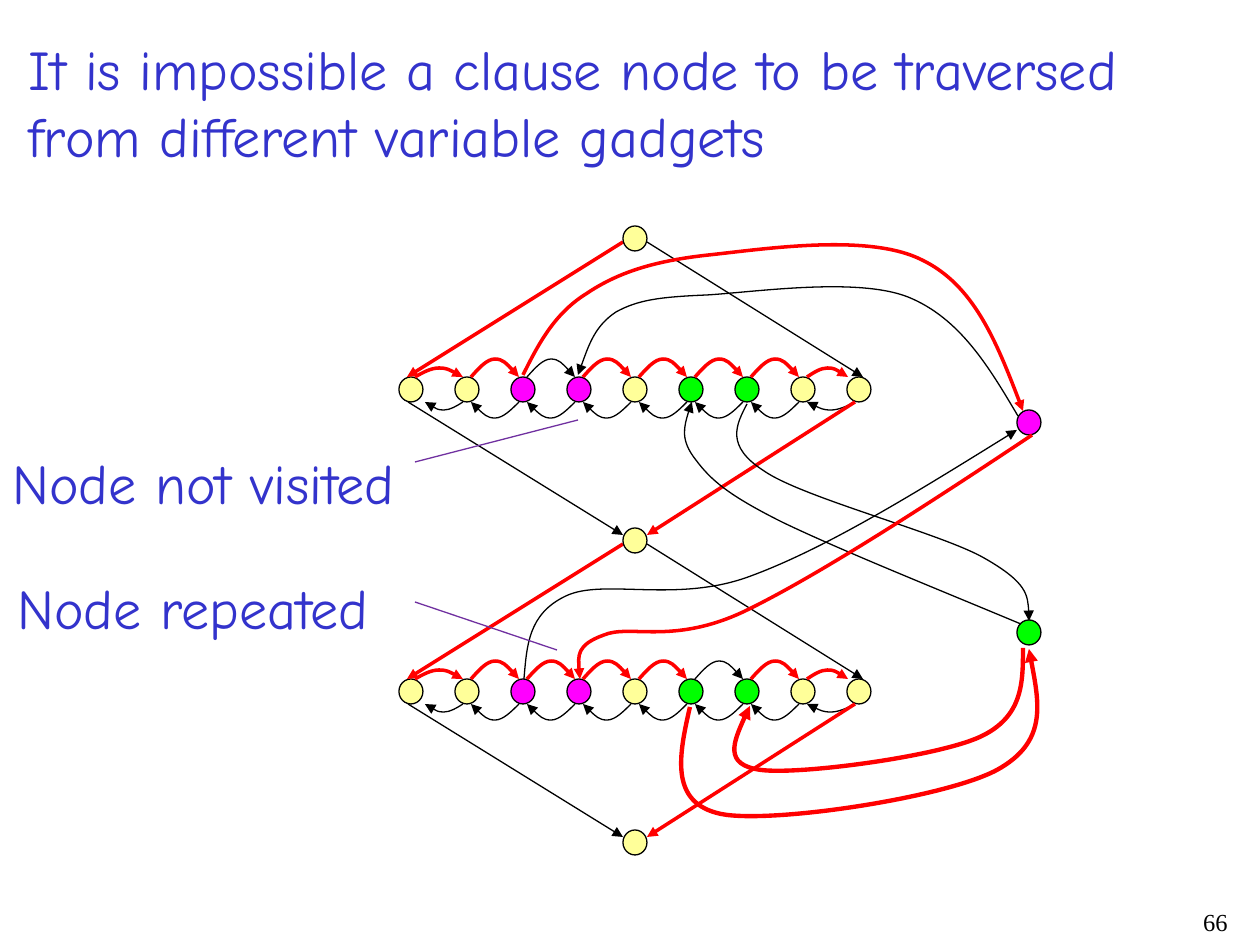
from dataclasses import dataclass

from lxml import etree
from pptx import Presentation
from pptx.dml.color import RGBColor
from pptx.enum.shapes import MSO_CONNECTOR, MSO_SHAPE
from pptx.enum.text import MSO_AUTO_SIZE, PP_ALIGN
from pptx.oxml.ns import qn
from pptx.util import Inches, Pt

STRAIGHT = MSO_CONNECTOR.STRAIGHT
OVAL = MSO_SHAPE.OVAL
LEFT, RIGHT = PP_ALIGN.LEFT, PP_ALIGN.RIGHT
SCALE = Inches(1) / 126


@dataclass(frozen=True)
class Theme:
    ink: str = "000000"
    route: str = "FF0000"
    heading: str = "3333CC"
    pointer: str = "7030A0"
    yellow: str = "FFFF99"
    magenta: str = "FF00FF"
    green: str = "00FF00"
    font: str = "Comic Neue"
    number_font: str = "Times New Roman"
    text_size: int = 32
    number_size: int = 14
    thin: float = 0.75
    thick: float = 2
    heavy: float = 2.5


THEME = Theme()
THIN = (THEME.ink, THEME.thin)
ROUTE = (THEME.route, THEME.thick)
HEAVY_ROUTE = (THEME.route, THEME.heavy)
POINTER = (THEME.pointer, THEME.thin)


def emu(px):
    return round(px * SCALE)


def bezier(points, t):
    """Point at t on the cubic curve with the four given control points."""
    s = 1 - t
    weights = (s**3, 3 * s * s * t, 3 * s * t * t, t**3)
    return tuple(round(sum(w * p[axis] for w, p in zip(weights, points)))
                 for axis in (0, 1))


class SlideBuilder:
    def __init__(self, page, theme):
        self.page = page
        self.theme = theme

    def stroke(self, shape, pen, arrow=False):
        color, width = pen
        shape.line.color.rgb = RGBColor.from_string(color)
        shape.line.width = Pt(width)
        if arrow:
            ln = shape._element.spPr.find(qn("a:ln"))
            etree.SubElement(ln, qn("a:tailEnd"), type="triangle")

    def node(self, x, y, color):
        """Place a graph node by its centre."""
        oval = self.page.shapes.add_shape(
            OVAL, emu(x - 12), emu(y - 12), emu(24), emu(25))
        oval.shadow.inherit = False
        oval.fill.solid()
        oval.fill.fore_color.rgb = RGBColor.from_string(color)
        self.stroke(oval, THIN)

    def line(self, start, end, pen, arrow=True):
        connector = self.page.shapes.add_connector(
            STRAIGHT, *map(emu, (*start, *end)))
        etree.SubElement(connector._element.spPr, qn("a:effectLst"))
        self.stroke(connector, pen, arrow)
        # The effect list follows the line in schema order.
        properties = connector._element.spPr
        properties.append(properties.find(qn("a:effectLst")))

    def curve(self, points, pen):
        """Draw chained cubic curves: a start, then three points per curve."""
        points = [(emu(x), emu(y)) for x, y in points]
        pieces = range(0, len(points) - 1, 3)
        samples = [bezier(points[i:i + 4], step / 24)
                   for i in pieces for step in range(1, 25)]
        builder = self.page.shapes.build_freeform(*points[0])
        builder.add_line_segments(samples, close=False)
        shape = builder.convert_to_shape()
        shape.shadow.inherit = False
        shape.fill.background()
        self.stroke(shape, pen, arrow=True)
        outline = next(shape._element.iter(qn("a:path")))
        for segment in outline.findall(qn("a:lnTo")):
            outline.remove(segment)
        for i in pieces:
            segment = etree.SubElement(outline, qn("a:cubicBezTo"))
            for x, y in points[i + 1:i + 4]:
                etree.SubElement(segment, qn("a:pt"), x=str(x - shape.left),
                                 y=str(y - shape.top))

    def arc(self, start, end, y, rise, pen):
        """Draw a hop between neighbours; a negative rise hangs below."""
        heights = (0, 0.5, 1, 1, 1, 0.5, 0)
        self.curve([(start + (end - start) * i / 6, y - rise * height)
                    for i, height in enumerate(heights)], pen)

    def text(self, lines, x, y, width, height, *, font=None, size=None,
             color=None, align=LEFT, grow=True):
        box = self.page.shapes.add_textbox(*map(emu, (x, y, width, height)))
        frame = box.text_frame
        frame.word_wrap = not grow
        frame.auto_size = MSO_AUTO_SIZE.SHAPE_TO_FIT_TEXT if grow else MSO_AUTO_SIZE.NONE
        for i, line in enumerate(lines):
            para = frame.paragraphs[0] if i == 0 else frame.add_paragraph()
            para.alignment = align
            span = para.add_run()
            span.text = line
            span.font.name = font or self.theme.font
            span.font.size = Pt(size or self.theme.text_size)
            span.font.color.rgb = RGBColor.from_string(color or self.theme.heading)


Y, M, G = THEME.yellow, THEME.magenta, THEME.green
ROW_COLORS = (Y, Y, M, M, Y, G, G, Y, Y)
STEP, HALF_GADGET = 56, 151
COLUMNS = [411 + STEP * i for i in range(len(ROW_COLORS))]
FIRST, MIDDLE, LAST = COLUMNS[0], COLUMNS[4], COLUMNS[-1]
ROWS = ((389, 2), (691, 5))  # centre, and the one hop off the route

CLAUSE_CURVES = (
    (ROUTE, [(523, 375), (538, 345), (554, 314), (586, 294), (617, 273),
             (653, 261), (709, 255), (765, 249), (869, 233), (922, 260),
             (974, 285), (999, 348), (1023, 411)]),
    (THIN, [(1018, 416), (989, 367), (960, 318), (908, 297), (857, 277),
            (756, 292), (707, 295), (659, 297), (638, 300), (616, 312),
            (595, 326), (587, 350), (578, 375)]),
    (THIN, [(1021, 624), (930, 586), (838, 549), (782, 522), (728, 495),
            (711, 480), (696, 460), (680, 440), (685, 421), (692, 402)]),
    (THIN, [(747, 404), (736, 425), (725, 446), (764, 471), (803, 498),
            (940, 533), (984, 558), (1028, 583), (1029, 602), (1029, 621)]),
    (THIN, [(524, 679), (527, 646), (528, 614), (566, 596), (604, 578),
            (677, 604), (751, 576), (827, 548), (922, 489), (1017, 430)]),
    (ROUTE, [(1032, 435), (924, 507), (814, 578), (743, 612), (672, 645),
             (630, 624), (604, 635), (576, 645), (578, 662), (580, 679)]),
    (HEAVY_ROUTE, [(690, 707), (679, 755), (669, 803), (721, 814), (771, 824),
                   (945, 798), (997, 770), (1048, 742), (1038, 696), (1029, 649)]),
    (HEAVY_ROUTE, [(1023, 648), (1023, 683), (1023, 717), (980, 737), (936, 757),
                   (799, 775), (761, 770), (723, 765), (736, 735), (750, 706)]),
)


def draw_gadget(slide, y, skipped):
    """Draw one variable gadget: its row, hops and the four diamond edges."""
    for x, color in zip(COLUMNS, ROW_COLORS):
        slide.node(x, y, color)
    final = len(COLUMNS) - 2
    for i, x in enumerate(COLUMNS[:-1]):
        flat = 0.5 if i in (0, final) else 1
        slide.arc(x + 4, x + (45 if i == final else 52), y - 12, 18 * flat,
                  THIN if i == skipped else ROUTE)
        slide.arc(x + 52, x + (14 if i == 0 else 4), y + 13, -16 * flat, THIN)
    top, bottom = y - HALF_GADGET + 4, y + HALF_GADGET - 5
    slide.line((MIDDLE - 12, top), (FIRST - 4, y - 12), ROUTE)
    slide.line((MIDDLE + 12, top), (LAST + 4, y - 12), THIN)
    slide.line((LAST - 4, y + 13), (MIDDLE + 12, bottom), ROUTE)
    slide.line((FIRST - 3, y + 13), (MIDDLE - 12, bottom), THIN)


def main():
    deck = Presentation()
    deck.slide_width, deck.slide_height = Inches(10), Inches(7.5)
    slide = SlideBuilder(deck.slides.add_slide(deck.slide_layouts[6]), THEME)
    slide.text(["66"], 978, 901, 262, 42, font=THEME.number_font,
               size=THEME.number_size, color=THEME.ink, align=RIGHT, grow=False)
    for y, skipped in ROWS:
        draw_gadget(slide, y, skipped)
    for i in range(3):
        slide.node(MIDDLE, ROWS[0][0] + HALF_GADGET * (2 * i - 1), Y)
    for y, color in ((422, M), (632, G)):
        slide.node(1029, y, color)
    for pen, points in CLAUSE_CURVES:
        slide.curve(points, pen)
    slide.text(["It is impossible a clause node to be traversed",
                "from different variable gadgets"], 16, 28, 1246, 149)
    slide.text(["Node not visited"], 0, 442, 462, 81)
    slide.text(["Node repeated"], 5, 567, 421, 81)
    slide.line((415, 462), (578, 420), POINTER, arrow=False)
    slide.line((415, 602), (557, 650), POINTER, arrow=False)
    deck.save("out.pptx")


if __name__ == "__main__":
    main()
